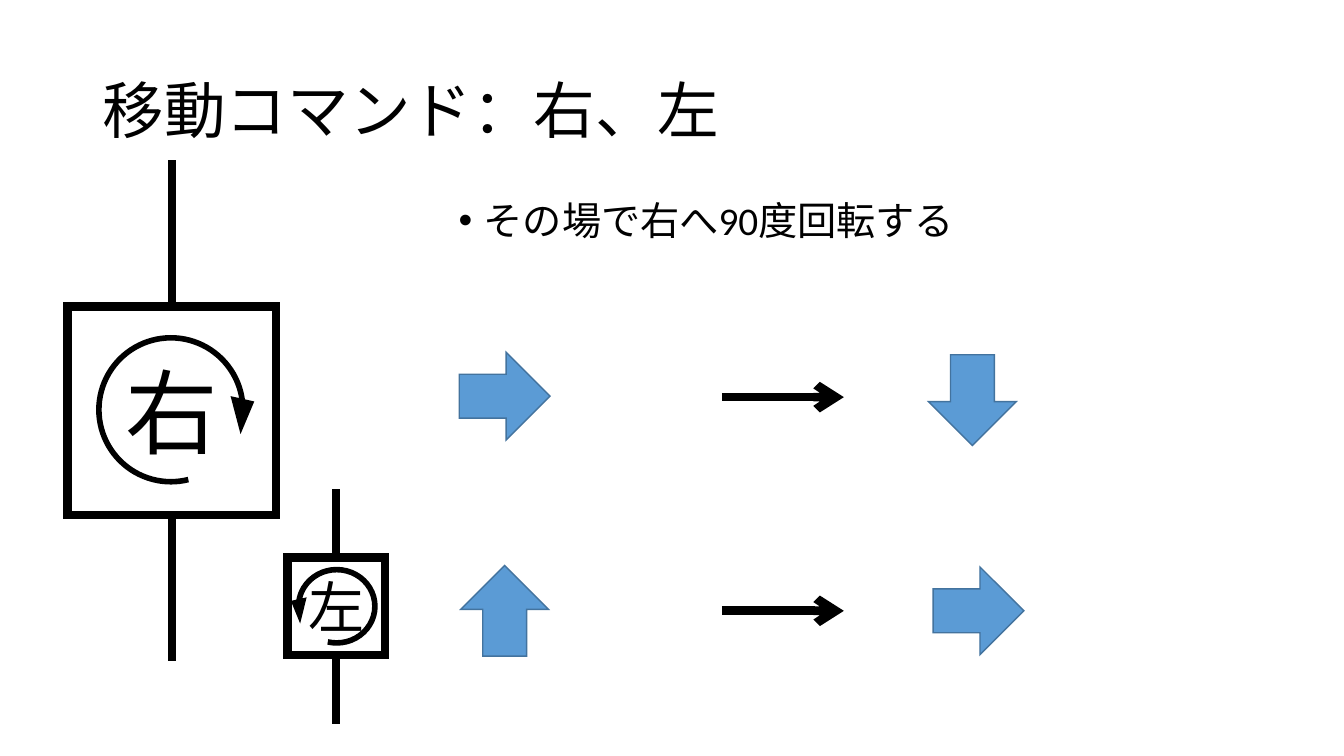
from lxml.etree import SubElement
from pptx import Presentation
from pptx.dml.color import RGBColor
from pptx.enum.shapes import MSO_CONNECTOR as Connector, MSO_SHAPE as Shape
from pptx.enum.text import MSO_ANCHOR as Anchor, PP_ALIGN as Align
from pptx.oxml.ns import qn
from pptx.util import Inches, Pt


class Theme:
    font = "Calibri"
    ink = RGBColor.from_string("000000")
    arrow_fill = RGBColor.from_string("5B9BD5")
    arrow_edge = RGBColor.from_string("43739E")
    title_size, body_size = 44, 28
    box_line, turn_line, step_line, edge_line = 6, 4, 6.25, 1


TITLE = ("移動コマンド：右、左", (0.92, 0.4, 11.5, 1.45))
RULE = ("その場で右へ90度回転する", (4.45, 1.95, 6.84, 4.76))
COMMANDS = [
    dict(label="右", size=66, box=(0.67, 3.04, 2.07), stem=1.45,
         turn=(0.9, 3.27, 1.59, 1.59), mirrored=False),
    dict(label="左", size=40, box=(2.85, 5.53, 0.97), stem=0.68,
         turn=(2.92, 5.61, 0.84, 0.81), mirrored=True),
]
TURN_ADJUSTMENTS = (0, 11.423, 212.123, 45.593, 0.051)
ARROW_SIZE = (0.87, 0.9)
STEP_X = (7.16, 8.37)
EXAMPLES = [
    dict(step_y=3.94, before=(4.57, 3.48, 270), after=(9.21, 3.52, 0)),
    dict(step_y=6.06, before=(4.57, 5.61, 180), after=(9.27, 5.61, 270)),
]

deck = Presentation()
deck.slide_width, deck.slide_height = Inches(13.33), Inches(7.5)
slide = deck.slides.add_slide(deck.slide_layouts[6])


def inches(values):
    return [Inches(value) for value in values]


def style_text(owner, text, size):
    frame = owner.text_frame
    frame.word_wrap = True
    frame.text = text
    font = frame.paragraphs[0].runs[0].font
    font.name, font.size, font.color.rgb = Theme.font, Pt(size), Theme.ink
    return frame


def add_text(content, size):
    text, place = content
    frame = style_text(slide.shapes.add_textbox(*inches(place)), text, size)
    frame.paragraphs[0].line_spacing = 0.9
    return frame


def style_line(owner, color, width):
    owner.line.color.rgb, owner.line.width = color, Pt(width)
    SubElement(owner.line._ln, qn("a:miter"), lim="800000")


def add_shape(kind, place, fill, edge, width):
    shape = slide.shapes.add_shape(kind, *inches(place))
    shape.shadow.inherit = False
    if fill is None:
        shape.fill.background()
    else:
        shape.fill.solid()
        shape.fill.fore_color.rgb = fill
    style_line(shape, edge, width)
    return shape


def add_line(start, end, width):
    line = slide.shapes.add_connector(Connector.STRAIGHT, *inches(start + end))
    style_line(line, Theme.ink, width)
    SubElement(line._element.spPr, qn("a:effectLst"))
    return line


def add_command(command):
    left, top, side = command["box"]
    box = add_shape(Shape.RECTANGLE, (left, top, side, side), None,
                    Theme.ink, Theme.box_line)
    frame = style_text(box, command["label"], command["size"])
    frame.vertical_anchor = Anchor.MIDDLE
    frame.paragraphs[0].alignment = Align.CENTER
    center = left + side / 2
    for site, edge, direction in ((0, top, -1), (2, top + side, 1)):
        stem_end = edge + direction * command["stem"]
        stem = add_line((center, edge), (center, stem_end), Theme.box_line)
        stem.begin_connect(box, site)
    turn = add_shape(Shape.CIRCULAR_ARROW, command["turn"], Theme.ink,
                     Theme.ink, Theme.turn_line)
    for index, value in enumerate(TURN_ADJUSTMENTS):
        turn.adjustments[index] = value
    if command["mirrored"]:
        turn._element.spPr.xfrm.set("flipH", "1")


def add_example(example):
    for left, top, rotation in (example["before"], example["after"]):
        arrow = add_shape(Shape.DOWN_ARROW, (left, top) + ARROW_SIZE,
                          Theme.arrow_fill, Theme.arrow_edge, Theme.edge_line)
        arrow.rotation = rotation
    start, end = ((x, example["step_y"]) for x in STEP_X)
    step = add_line(start, end, Theme.step_line)
    SubElement(step.line._ln, qn("a:tailEnd"), type="arrow")


add_text(TITLE, Theme.title_size).vertical_anchor = Anchor.MIDDLE

rule = add_text(RULE, Theme.body_size).paragraphs[0]
indent = Inches(0.25)
rule_format = rule._p.get_or_add_pPr()
rule_format.set("marL", str(indent))
rule_format.set("indent", str(-indent))
SubElement(rule_format, qn("a:buFont"), typeface="Arial")
SubElement(rule_format, qn("a:buChar"), char="•")

for command in COMMANDS:
    add_command(command)
for example in EXAMPLES:
    add_example(example)

deck.save("out.pptx")
